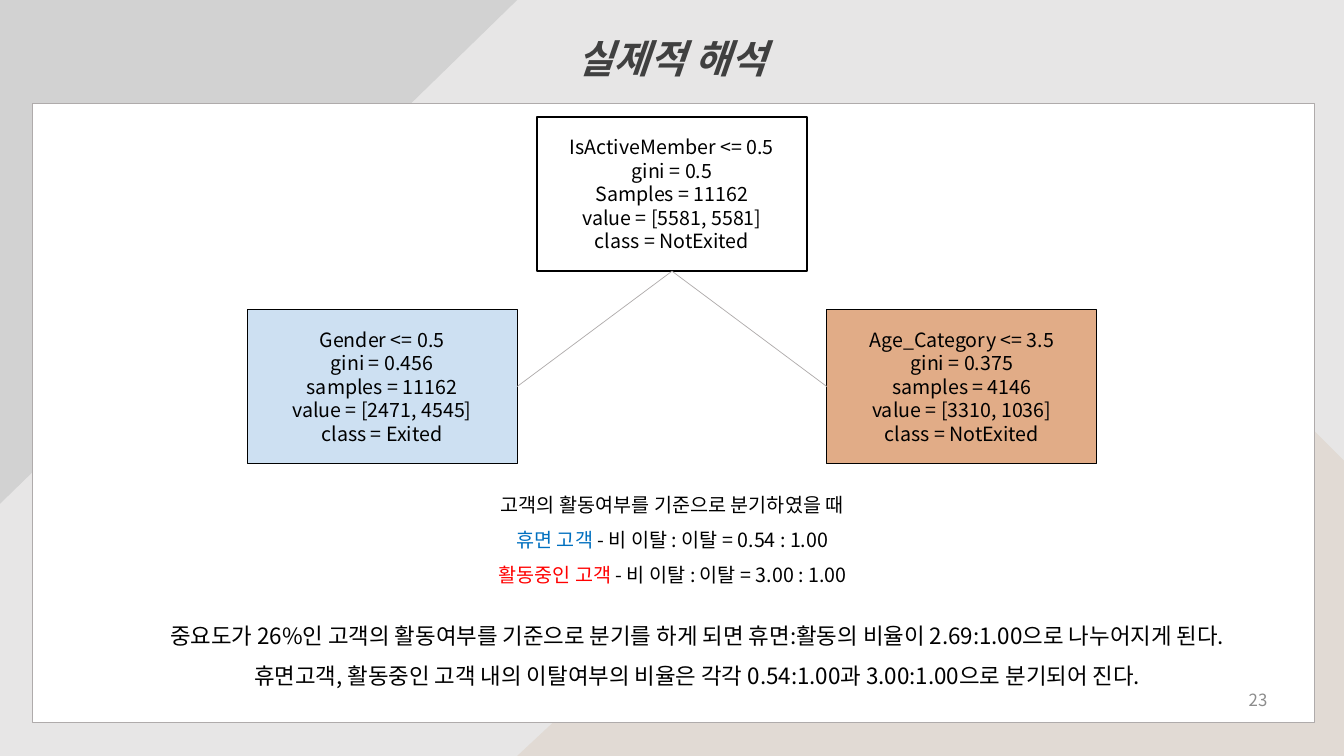
from dataclasses import dataclass

from lxml.etree import SubElement
from pptx import Presentation
from pptx.dml.color import RGBColor
from pptx.enum.shapes import MSO_CONNECTOR, MSO_SHAPE
from pptx.enum.text import MSO_ANCHOR, MSO_AUTO_SIZE, PP_ALIGN
from pptx.oxml.ns import qn
from pptx.util import Inches, Pt

W, H = Inches(13.33), Inches(7.5)
FONT = "Noto Sans CJK KR"
BLACK, GRAY = "000000", "AFABAB"
NODE_W, NODE_H = 20.1, 20.4
ROOT_X, BRANCH = 39.95, 21.57


@dataclass
class Area:
    """Left, top, width and height in percent of the slide."""
    x: float
    y: float
    w: float
    h: float

    def box(self) -> tuple:
        return px(self.x), py(self.y), px(self.w), py(self.h)


@dataclass
class Node:
    """A decision tree node."""
    x: float
    y: float
    fill: str
    alpha: int
    line: float
    lines: list


@dataclass
class Caption:
    """A text block whose paragraphs are lists of (text, colour) runs."""
    area: Area
    size: int
    paras: list
    align: PP_ALIGN = PP_ALIGN.CENTER
    anchor: MSO_ANCHOR = MSO_ANCHOR.TOP
    spacing: float = 1.5
    bold: bool = False
    italic: bool = False


TITLE = Caption(Area(21.6, 0.8, 56.8, 9.6), 28, [[("실제적 해석", "404040")]],
                bold=True, italic=True)
CAPTIONS = [
    Caption(Area(10.5, 62.93, 79.07, 15.07), 14, [
        [("고객의 활동여부를 기준으로 분기하였을 때", BLACK)],
        [("휴면 고객 ", "0070C0"), ("- 비 이탈 : 이탈 = 0.54 : 1.00", BLACK)],
        [("활동중인 고객 ", "FF0000"), ("- 비 이탈 : 이탈 = 3.00 : 1.00", BLACK)],
    ]),
    Caption(Area(72.54, 89.87, 22.5, 5.33), 12, [[("23", "8C8C8C")]],
            PP_ALIGN.RIGHT, MSO_ANCHOR.MIDDLE, 1.0),
    Caption(Area(8.02, 79.87, 87.7, 11.47), 16, [
        [("중요도가 26%인 고객의 활동여부를 기준으로 분기를 하게 되면 "
          "휴면:활동의 비율이 2.69:1.00으로 나누어지게 된다.", BLACK)],
        [("휴면고객, 활동중인 고객 내의 이탈여부의 비율은 각각 "
          "0.54:1.00과 3.00:1.00으로 분기되어 진다.", BLACK)],
    ]),
]
ROOT = Node(ROOT_X, 15.47, "FFFFFF", 100, 1, [
    "IsActiveMember <= 0.5", "gini = 0.5", "Samples = 11162",
    "value = [5581, 5581]", "class = NotExited"])
LEFT = Node(ROOT_X - BRANCH, 40.93, "9DC3E6", 50, 0.75, [
    "Gender <= 0.5", "gini = 0.456", "samples = 11162",
    "value = [2471, 4545]", "class = Exited"])
RIGHT = Node(ROOT_X + BRANCH, 40.93, "C55A11", 50, 0.75, [
    "Age_Category <= 3.5", "gini = 0.375", "samples = 4146",
    "value = [3310, 1036]", "class = NotExited"])
CORNER = [(78.32, 33.87), (84.77, 33.87), (100, 60.93), (100, 100), (38.48, 100)]


def px(share: float) -> int:
    """Turn a percentage of the slide width into a length."""
    return round(W * share / 100)


def py(share: float) -> int:
    """Turn a percentage of the slide height into a length."""
    return round(H * share / 100)


def color(value: str) -> RGBColor:
    """Read a hex colour."""
    return RGBColor.from_string(value)


def paint(sp, fill: str, line: str = "", width: float = 1, alpha: int = 100) -> None:
    """Set fill, outline and transparency of a shape."""
    sp.shadow.inherit = False
    sp.fill.solid()
    sp.fill.fore_color.rgb = color(fill)
    if alpha < 100:
        rgb = sp._element.spPr.find(qn("a:solidFill"))[0]
        SubElement(rgb, qn("a:alpha"), val=str(alpha * 1000))
    if line:
        sp.line.color.rgb = color(line)
        sp.line.width = Pt(width)
    else:
        sp.line.fill.background()


def write(sp, c: Caption) -> None:
    """Fill a shape with the paragraphs of a caption."""
    tf = sp.text_frame
    frame = {"word_wrap": True, "auto_size": MSO_AUTO_SIZE.NONE,
             "vertical_anchor": c.anchor}
    for key, value in frame.items():
        setattr(tf, key, value)
    font = {"name": FONT, "size": Pt(c.size), "bold": c.bold, "italic": c.italic}
    for i, runs in enumerate(c.paras):
        p = tf.add_paragraph() if i else tf.paragraphs[0]
        p.alignment, p.line_spacing = c.align, c.spacing
        for text, rgb in runs:
            r = p.add_run()
            r.text = text
            for key, value in font.items():
                setattr(r.font, key, value)
            r.font.color.rgb = color(rgb)
            SubElement(r._r.get_or_add_rPr(), qn("a:ea"), typeface=FONT)


def add_node(s, n: Node):
    """Draw a tree node and return its shape."""
    area = Area(n.x, n.y, NODE_W, NODE_H)
    sp = s.shapes.add_shape(MSO_SHAPE.RECTANGLE, *area.box())
    paint(sp, n.fill, BLACK, n.line, n.alpha)
    write(sp, Caption(area, 14, [[(t, BLACK)] for t in n.lines],
                      anchor=MSO_ANCHOR.MIDDLE, spacing=1.0))
    return sp


def add_branch(s, parent, child, site: int) -> None:
    """Join the bottom of a parent node to a side of its child."""
    cn = s.shapes.add_connector(MSO_CONNECTOR.STRAIGHT, 0, 0, 0, 0)
    cn.begin_connect(parent, 2)
    cn.end_connect(child, site)
    cn.line.color.rgb = color(GRAY)
    cn.line.width = Pt(0.5)
    SubElement(cn._element.spPr, qn("a:effectLst"))


def add_backdrop(s) -> None:
    """Draw the background corners and the white panel."""
    s.background.fill.solid()
    s.background.fill.fore_color.rgb = color("E7E6E6")
    start, *rest = [(px(x), py(y)) for x, y in CORNER]
    fb = s.shapes.build_freeform(*start)
    fb.add_line_segments(rest)
    paint(fb.convert_to_shape(), "E1DAD4")
    triangle = s.shapes.add_shape(MSO_SHAPE.RIGHT_TRIANGLE,
                                  *Area(0.5, -0.9, 37.5, 68.4).box())
    triangle.rotation = 90
    paint(triangle, "D2D2D2")
    panel = s.shapes.add_shape(MSO_SHAPE.RECTANGLE,
                               *Area(2.4, 13.73, 95.42, 81.87).box())
    paint(panel, "FFFFFF", GRAY)


def main() -> None:
    """Build the slide and save it."""
    prs = Presentation()
    prs.slide_width, prs.slide_height = W, H
    s = prs.slides.add_slide(prs.slide_layouts[5])
    add_backdrop(s)
    title = s.shapes.title
    for key, value in zip(("left", "top", "width", "height"), TITLE.area.box()):
        setattr(title, key, value)
    write(title, TITLE)
    root, left, right = [add_node(s, n) for n in (ROOT, LEFT, RIGHT)]
    add_branch(s, root, left, 3)
    add_branch(s, root, right, 1)
    for c in CAPTIONS:
        write(s.shapes.add_textbox(*c.area.box()), c)
    prs.save("out.pptx")


if __name__ == "__main__":
    main()
